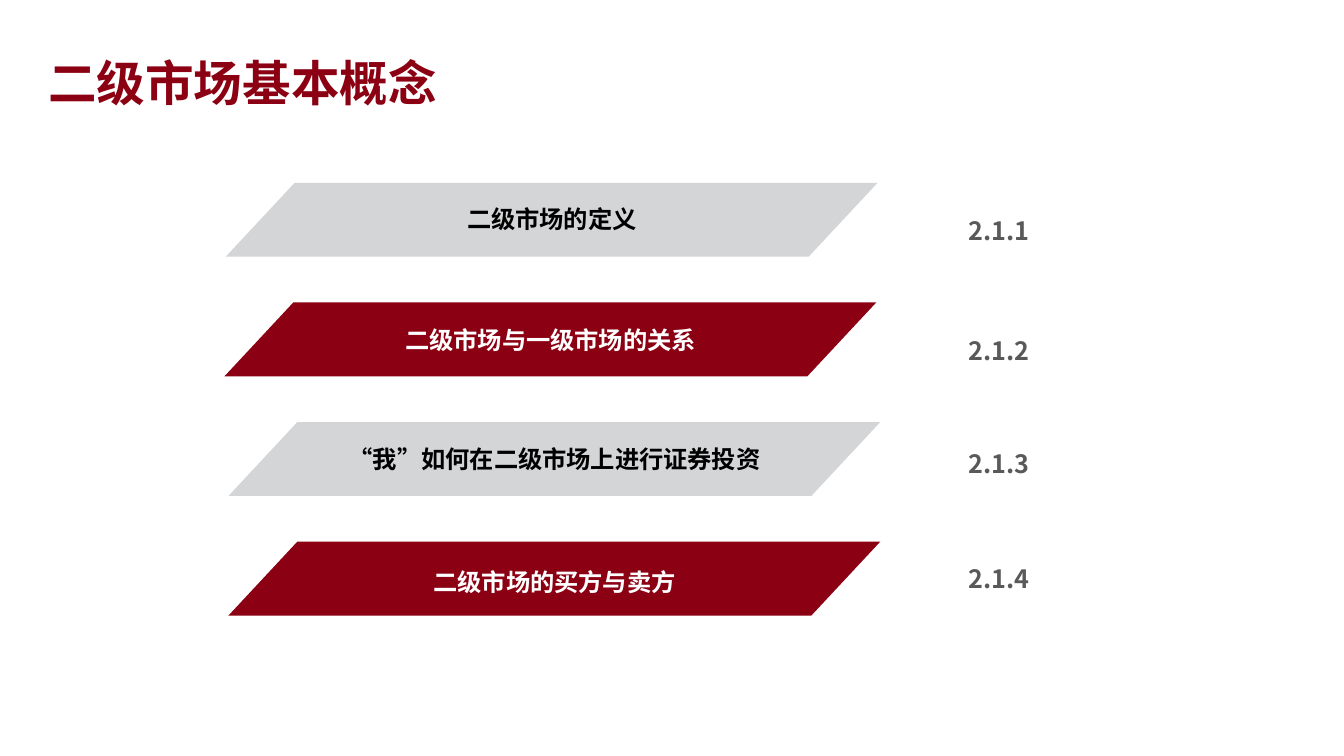
from pptx import Presentation
from pptx.dml.color import RGBColor
from pptx.enum.shapes import MSO_SHAPE as Shape
from pptx.enum.text import MSO_ANCHOR as Anchor, MSO_AUTO_SIZE as Fit, PP_ALIGN as Align
from pptx.oxml.ns import qn
from pptx.util import Inches, Pt
from lxml.etree import SubElement

FONT = "Noto Sans CJK SC"
RED, GREY, DARK, BLACK, WHITE = "8B0012", "D4D5D7", "595959", "000000", "FFFFFF"
LEFT, TOP, PITCH = 1.68, 1.36, 0.89
WIDE, HIGH = 4.85, 0.55

# label, number, band shift, label drop and number drop within the row
ROWS = [
    ("二级市场的定义", "2.1.1", 0, 0.07, 0.15),
    ("二级市场与一级市场的关系", "2.1.2", -0.01, 0.08, 0.15),
    ("“我”如何在二级市场上进行证券投资", "2.1.3", 0.02, 0.07, 0.1),
    ("二级市场的买方与卖方", "2.1.4", 0.02, 0.1, 0.07),
]


def tint(hue):
    return RGBColor.from_string(hue)


def inch(*box):
    return [Inches(side) for side in box]


def write(shape, text, size, hue, align=Align.CENTER, space=1.2):
    frame = shape.text_frame
    frame.word_wrap = True
    frame.auto_size = Fit.SHAPE_TO_FIT_TEXT
    frame.vertical_anchor = Anchor.TOP
    para = frame.paragraphs[0]
    para.alignment, para.line_spacing = align, space
    run = para.add_run()
    run.text = text
    font = run.font
    font.size, font.bold, font.name = Pt(size), True, FONT
    font.color.rgb = tint(hue)
    SubElement(run._r.get_or_add_rPr(), qn("a:ea"), typeface=FONT)


def add_title(slide, box, text):
    title = slide.shapes.title
    title.left, title.top, title.width, title.height = inch(*box)
    write(title, text, 26, RED, Align.LEFT, 1.14)


def add_band(slide, box, fill):
    band = slide.shapes.add_shape(Shape.PARALLELOGRAM, *inch(*box))
    band.adjustments[0] = 0.932
    band.shadow.inherit = False
    band.fill.solid()
    band.fill.fore_color.rgb = tint(fill)
    band.line.fill.background()


def add_row(slide, box, row, fill, ink):
    """Place a slanted band with its label, and the number to its right."""
    label, code, shift, drop, fall = row
    left, top, wide, high = box
    add_band(slide, (left + shift, top, wide, high), fill)
    text = slide.shapes.add_textbox(
        *inch(left + shift + 0.15 * wide, top + drop, 0.7 * wide, 0.34))
    write(text, label, 13, ink)
    mark = slide.shapes.add_textbox(*inch(left + wide + 0.15, top + fall, 1.51, 0.35))
    write(mark, code, 13.5, DARK)


def main():
    deck = Presentation()
    deck.slide_width = Inches(10)
    deck.slide_height = deck.slide_width * 9 // 16
    slide = deck.slides.add_slide(deck.slide_layouts[5])
    add_title(slide, (0.26, 0.28, 3.7, 0.56), "二级市场基本概念")
    for i, row in enumerate(ROWS):
        fill, ink = (RED, WHITE) if i % 2 else (GREY, BLACK)
        add_row(slide, (LEFT, TOP + i * PITCH, WIDE, HIGH), row, fill, ink)
    deck.save("out.pptx")


if __name__ == "__main__":
    main()
